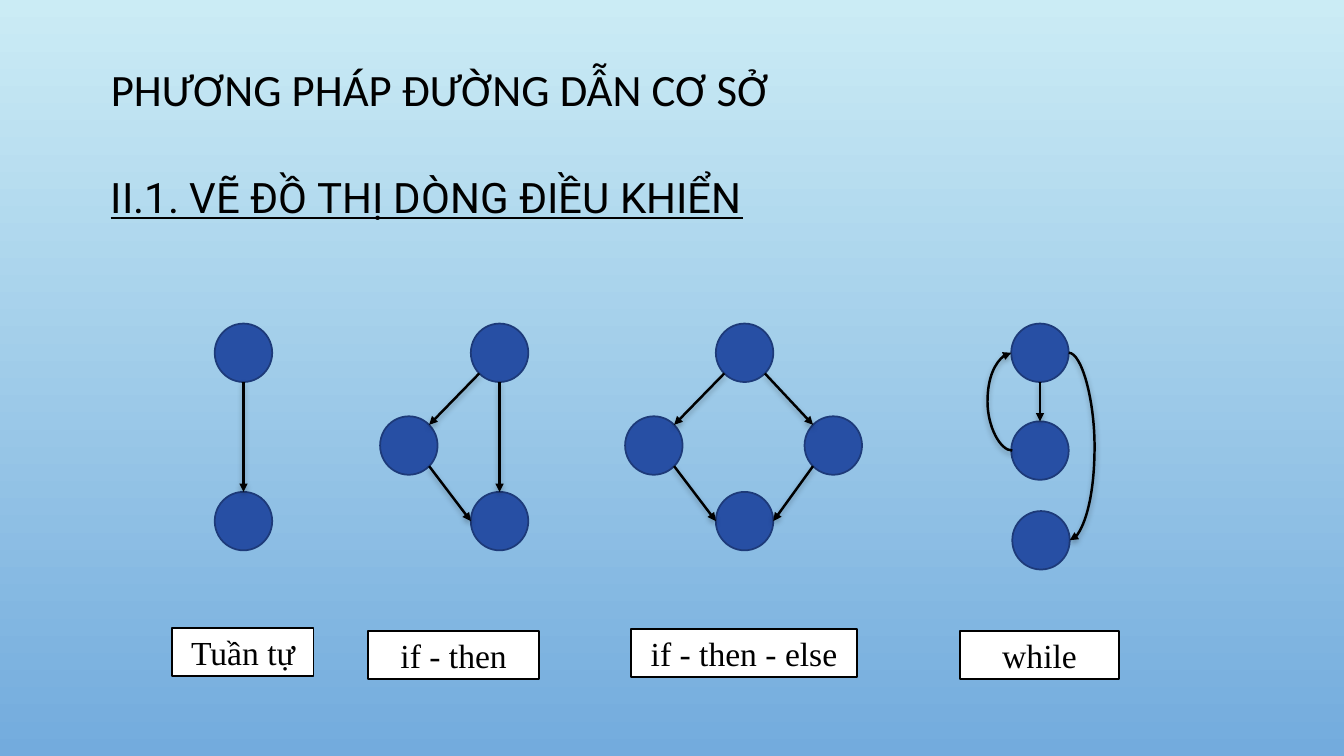
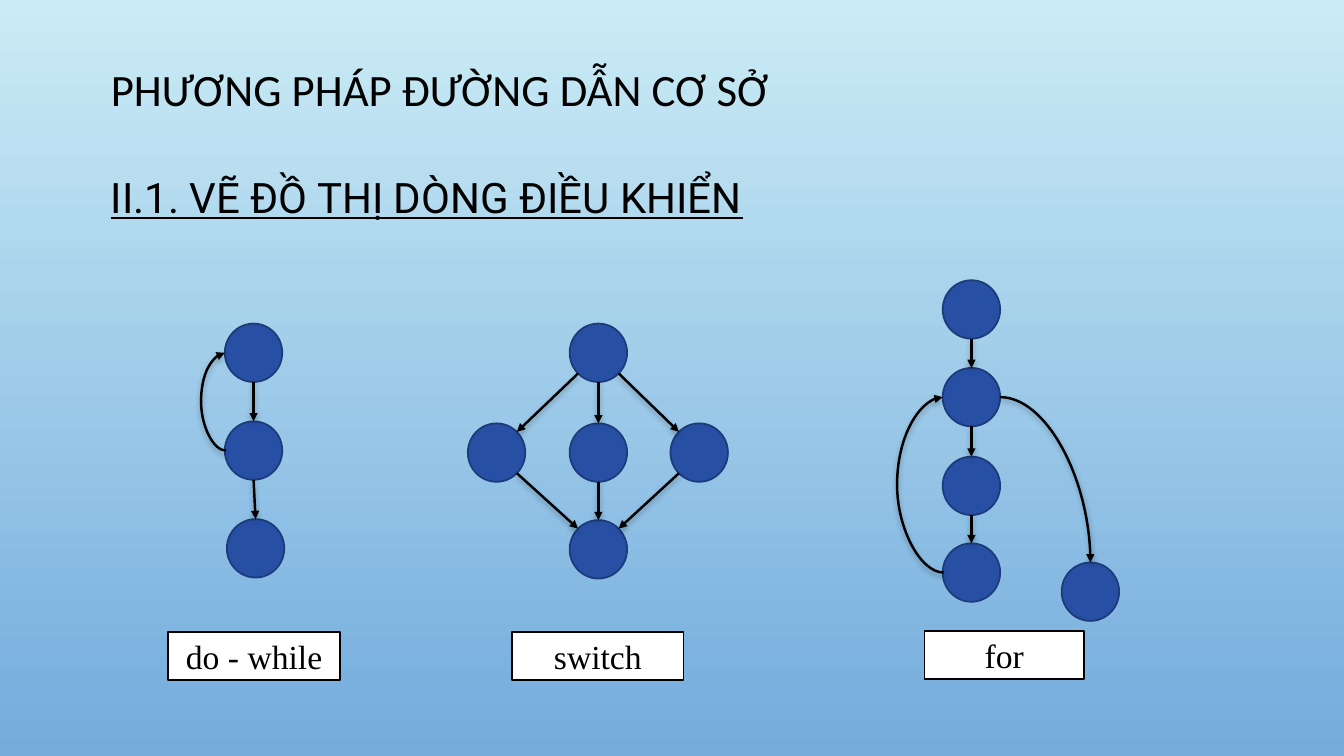
"""Builds two slides of control flow graphs for basic code structures."""
from math import cos, radians, sin

from lxml import etree
from pptx import Presentation
from pptx import util as u
from pptx.dml.color import RGBColor
from pptx.enum import shapes as es, text as et
from pptx.oxml.ns import qn

PX = 9144
WIDE, HIGH = 1333, 750
BLACK = RGBColor(0x00, 0x00, 0x00)
WHITE = RGBColor(0xFF, 0xFF, 0xFF)
BLUE = RGBColor(0x27, 0x4F, 0xA4)
NAVY = RGBColor(0x1D, 0x3A, 0x79)
SKY = (RGBColor(0xCB, 0xEC, 0xF5), RGBColor(0x73, 0xAB, 0xDD))
NODE_W, NODE_H = 57, 58
TOP, TOP_LEFT, LEFT, LOW_LEFT, LOW, LOW_RIGHT, RIGHT, TOP_RIGHT = range(8)

HEADS = [
    ("PHƯƠNG PHÁP ĐƯỜNG DẪN CƠ SỞ", (100, 68, 871, 47),
     dict(size=32, font="Calibri", spacing=0.9)),
    ("II.1. VẼ ĐỒ THỊ DÒNG ĐIỀU KHIỂN", (100, 181, 693, 35),
     dict(size=30, font="Roboto", spacing=0.9, under=True)),
]

# Each figure: label, label box, nodes, straight edges, loops with bulge, bends.
SLIDES = [
    [
        dict(label="Tuần tự", box=(171, 623, 140, 48),
             nodes=[(213, 321), (213, 488)],
             edges=[(0, LOW, 1, TOP)]),
        dict(label="if - then", box=(365, 626, 170, 48),
             nodes=[(467, 321), (377, 413), (467, 488)],
             edges=[(0, LOW_LEFT, 1, TOP_RIGHT), (0, LOW, 2, TOP),
                    (1, LOW_RIGHT, 2, LEFT)]),
        dict(label="if - then - else", box=(626, 624, 224, 48),
             nodes=[(710, 321), (620, 413), (798, 413), (710, 488)],
             edges=[(0, LOW_LEFT, 1, TOP_RIGHT), (0, LOW_RIGHT, 2, TOP_LEFT),
                    (1, LOW_RIGHT, 3, LEFT), (2, LOW_LEFT, 3, RIGHT)]),
        dict(label="while", box=(952, 626, 158, 48),
             nodes=[(1003, 321), (1003, 418), (1004, 507)],
             edges=[(0, LOW, 1, TOP)],
             loops=[(0, RIGHT, 2, RIGHT, 26), (1, LEFT, 0, LEFT, 25)]),
    ],
    [
        dict(label="do - while", box=(167, 627, 170, 48),
             nodes=[(223, 321), (223, 418), (225, 515)],
             edges=[(0, LOW, 1, TOP), (1, LOW, 2, TOP)],
             loops=[(1, LEFT, 0, LEFT, 25)]),
        dict(label="switch", box=(508, 627, 170, 48),
             nodes=[(565, 321), (464, 420), (565, 420), (665, 420), (565, 516)],
             edges=[(0, LOW_LEFT, 1, TOP_RIGHT), (0, LOW, 2, TOP),
                    (0, LOW_RIGHT, 3, TOP_LEFT), (1, LOW_RIGHT, 4, TOP_LEFT),
                    (2, LOW, 4, TOP), (3, LOW_LEFT, 4, TOP_RIGHT)]),
        dict(label="for", box=(917, 626, 158, 48),
             nodes=[(935, 278), (935, 365), (935, 453), (935, 539), (1053, 558)],
             edges=[(0, LOW, 1, TOP), (1, LOW, 2, TOP), (2, LOW, 3, TOP)],
             loops=[(3, LEFT, 1, LEFT, 47)],
             bends=[(1, RIGHT, 4, TOP)]),
    ],
]


def emu(*vals):
    return [round(val * PX) for val in vals]


def put_text(shape, words, size=24, font="Times New Roman", color=BLACK,
             align=et.PP_ALIGN.LEFT, spacing=1.0, under=False):
    frame = shape.text_frame
    frame.word_wrap = True
    frame.vertical_anchor = et.MSO_ANCHOR.MIDDLE
    para = frame.paragraphs[0]
    para.alignment, para.line_spacing = align, spacing
    run = para.add_run()
    run.text = words
    run.font.size, run.font.name = u.Pt(size), font
    run.font.color.rgb, run.font.underline = color, under


def add_form(shapes, kind, box, fill, line):
    form = shapes.add_shape(kind, *emu(*box))
    form.shadow.inherit = False
    form.fill.solid()
    form.fill.fore_color.rgb = fill
    form.line.color.rgb = line
    form.line.width = u.Pt(1.25)
    return form


def add_sub(base, tag, **attrs):
    return etree.SubElement(base, qn(tag), attrs)


def site(node, spot):
    turn = radians(45 * spot)
    return (node[0] + NODE_W / 2 * (1 - sin(turn)),
            node[1] + NODE_H / 2 * (1 - cos(turn)))


def add_arrow(shapes, kind, start, end):
    arrow = shapes.add_connector(kind, *emu(*start, *end))
    arrow.line.color.rgb = BLACK
    arrow.line.width = u.Pt(1.75)
    props = arrow._element.spPr
    add_sub(props.find(qn("a:ln")), "a:tailEnd", type="triangle")
    shade = add_sub(add_sub(props, "a:effectLst"), "a:outerShdw",
                    blurRad="50800", dist="25400", dir="5400000", rotWithShape="0")
    add_sub(add_sub(shade, "a:srgbClr", val=str(BLACK)), "a:alpha", val="28000")
    return arrow


def add_edge(shapes, nodes, forms, edge):
    src, out, dst, into = edge
    arrow = add_arrow(shapes, es.MSO_CONNECTOR.STRAIGHT,
                      site(nodes[src], out), site(nodes[dst], into))
    link = arrow._element.find(".//" + qn("p:cNvCxnSpPr"))
    for tag, which, spot in (("a:stCxn", src, out), ("a:endCxn", dst, into)):
        add_sub(link, tag, id=str(forms[which].shape_id), idx=str(spot))


def add_loop(shapes, nodes, loop):
    src, out, dst, into, bulge = loop
    start, end = site(nodes[src], out), site(nodes[dst], into)
    back = out == LEFT
    if back:
        start, end = end, (end[0] + 1, start[1])
    arrow = add_arrow(shapes, es.MSO_CONNECTOR.CURVE, start, end)
    props = arrow._element.spPr
    if back:
        props.find(qn("a:xfrm")).set("rot", str(180 * 60000))
    ratio = round(bulge / (end[0] - start[0]) * 100000)
    guides = props.find(qn("a:prstGeom")).find(qn("a:avLst"))
    add_sub(guides, "a:gd", name="adj1", fmla=f"val {ratio}")


def add_bend(shapes, nodes, bend):
    src, out, dst, into = bend
    arrow = add_arrow(shapes, es.MSO_CONNECTOR.CURVE,
                      site(nodes[src], out), site(nodes[dst], into))
    arrow._element.spPr.find(qn("a:prstGeom")).set("prst", "curvedConnector2")


def add_graph(slide, label, box, nodes, edges, loops=(), bends=()):
    shapes = slide.shapes.add_group_shape().shapes
    forms = [add_form(shapes, es.MSO_SHAPE.OVAL, (*node, NODE_W, NODE_H), BLUE, NAVY)
             for node in nodes]
    for edge in edges:
        add_edge(shapes, nodes, forms, edge)
    for loop in loops:
        add_loop(shapes, nodes, loop)
    for bend in bends:
        add_bend(shapes, nodes, bend)
    tag = add_form(slide.shapes, es.MSO_SHAPE.RECTANGLE, box, WHITE, BLACK)
    put_text(tag, label, align=et.PP_ALIGN.CENTER)


def main():
    deck = Presentation()
    deck.slide_width, deck.slide_height = emu(WIDE, HIGH)
    fill = deck.slide_master.background.fill
    fill.gradient()
    fill.gradient_angle = 270
    for stop, color in zip(fill.gradient_stops, SKY):
        stop.color.rgb = color
    for graphs in SLIDES:
        slide = deck.slides.add_slide(deck.slide_layouts[6])
        for words, box, style in HEADS:
            put_text(slide.shapes.add_textbox(*emu(*box)), words, **style)
        for graph in graphs:
            add_graph(slide, **graph)
    deck.save("out.pptx")


if __name__ == "__main__":
    main()
